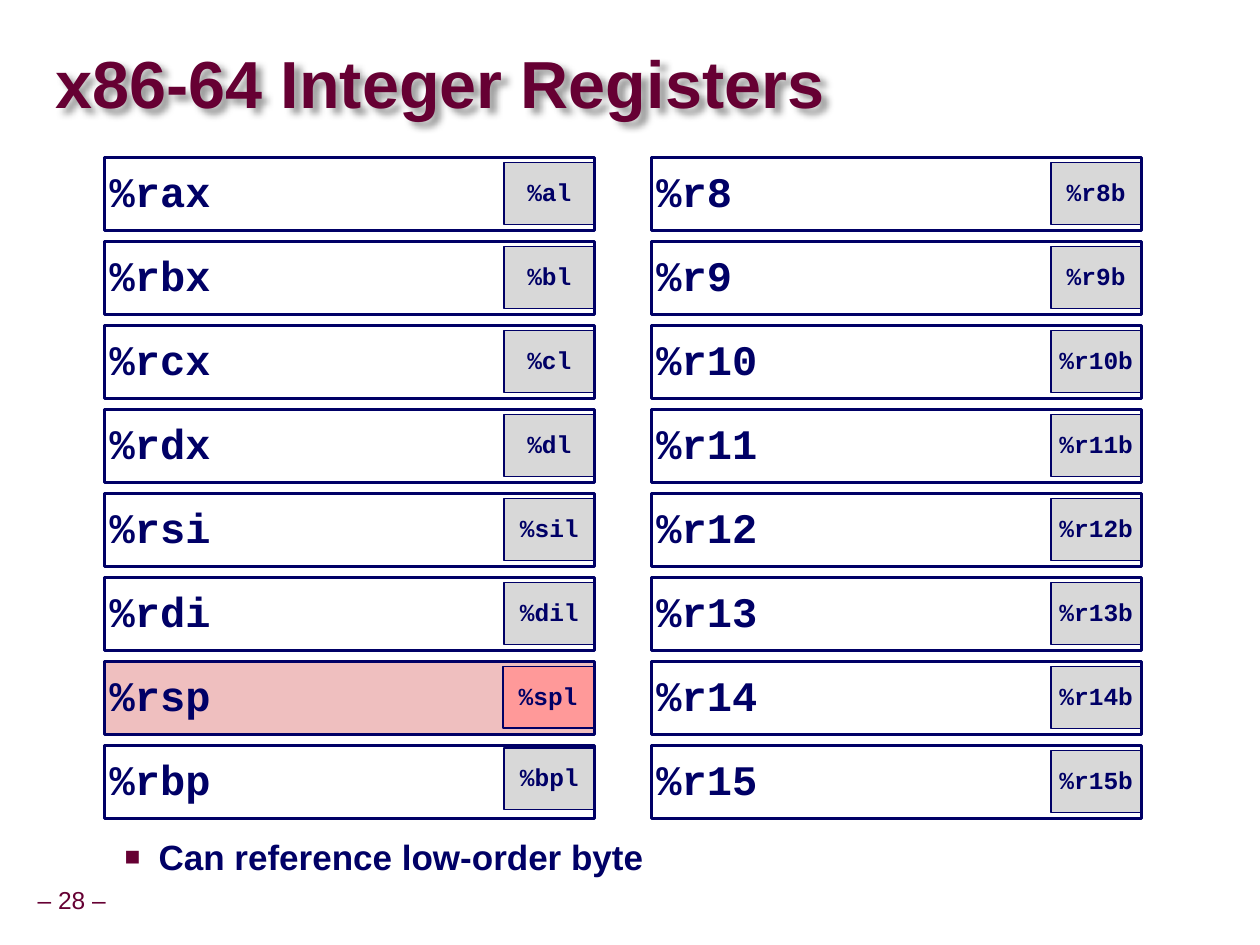
from dataclasses import dataclass

from lxml.etree import SubElement
from pptx import Presentation
from pptx.dml.color import RGBColor as RGB
from pptx.enum.shapes import MSO_SHAPE as Shape
from pptx.enum.text import MSO_ANCHOR as Anchor, PP_ALIGN as Align
from pptx.oxml.ns import qn
from pptx.util import Inches, Pt

TITLE = "x86-64 Integer Registers"
REGISTER_COLUMNS = [
    [("%rax", "%al"), ("%rbx", "%bl"), ("%rcx", "%cl"), ("%rdx", "%dl"),
     ("%rsi", "%sil"), ("%rdi", "%dil"), ("%rsp", "%spl"), ("%rbp", "%bpl")],
    [(f"%r{number}", f"%r{number}b") for number in range(8, 16)],
]
STACK_POINTER = "%rsp"
BYTE_SHIFTS = {"%spl": (-0.01, 0), "%bpl": (0, -0.02)}
TAKEAWAY = "Can reference low-order byte"
PAGE = "– 28 –"


@dataclass(frozen=True)
class Theme:
    navy: str = "000066"
    maroon: str = "660033"
    gray: str = "D8D8D8"
    rose: str = "EFBFBF"
    coral: str = "FF9999"
    sans: str = "Arial"
    mono: str = "Courier New"
    title_size: int = 38
    register_size: int = 24
    takeaway_size: int = 20
    small_size: int = 14


THEME = Theme()
COLUMN_LEFTS = (0.83, 5.17)
TOP, PITCH = 1.25, 2 / 3
FRAME_SIZE = (3.89, 0.58)
BYTE_SIZE = (0.72, 0.49)
BYTE_OFFSET = (3.17, 0.04)


def write(shape, text, size, color, font=THEME.sans, bold=True,
          align=Align.LEFT, anchor=Anchor.MIDDLE, insets=(0, 0), spacing=0.9, wrap=True):
    frame = shape.text_frame
    frame.word_wrap = wrap
    frame.vertical_anchor = anchor
    frame.margin_left = frame.margin_right = Inches(insets[0])
    frame.margin_top = frame.margin_bottom = Inches(insets[1])
    paragraph = frame.paragraphs[0]
    paragraph.alignment = align
    paragraph.line_spacing = spacing
    run = paragraph.add_run()
    run.text = text
    run.font.name, run.font.size, run.font.bold = font, Pt(size), bold
    run.font.color.rgb = RGB.from_string(color)
    return paragraph


def add_label(slide, box, *args, **style):
    label = slide.shapes.add_textbox(*map(Inches, box))
    return label, write(label, *args, **style)


def add_box(slide, box, text, size, fill, line_width, align):
    cell = slide.shapes.add_shape(Shape.RECTANGLE, *map(Inches, box))
    cell.shadow.inherit = False
    if fill:
        cell.fill.solid()
        cell.fill.fore_color.rgb = RGB.from_string(fill)
    else:
        cell.fill.background()
    cell.line.color.rgb = RGB.from_string(THEME.navy)
    cell.line.width = Pt(line_width)
    write(cell, text, size, THEME.navy, THEME.mono, align=align, insets=(0.04, 0.04))


def add_register(slide, left, top, register, low_byte):
    is_stack = register == STACK_POINTER
    shift_x, shift_y = BYTE_SHIFTS.get(low_byte, (0, 0))
    byte_box = (left + BYTE_OFFSET[0] + shift_x, top + BYTE_OFFSET[1] + shift_y, *BYTE_SIZE)
    byte_part = (byte_box, low_byte, THEME.small_size,
                 THEME.coral if is_stack else THEME.gray, 1 if is_stack else 0.75, Align.CENTER)
    register_part = ((left, top, *FRAME_SIZE), register, THEME.register_size,
                     THEME.rose if is_stack else None, 2, Align.LEFT)
    parts = (register_part, byte_part) if is_stack else (byte_part, register_part)
    for part in parts:
        add_box(slide, *part)


def add_shadow(label):
    effects = SubElement(label._element.spPr, qn("a:effectLst"))
    shadow = SubElement(effects, qn("a:outerShdw"), blurRad="50800", dist="50800",
                        dir="2700000", algn="tl", rotWithShape="0")
    color = SubElement(shadow, qn("a:srgbClr"), val="000000")
    SubElement(color, qn("a:alpha"), val="40000")


def add_bullet(paragraph):
    properties = paragraph._p.get_or_add_pPr()
    properties.set("marL", str(Inches(0.81)))
    properties.set("indent", str(Inches(-0.27)))
    color = SubElement(properties, qn("a:buClr"))
    SubElement(color, qn("a:srgbClr"), val=THEME.maroon)
    SubElement(properties, qn("a:buSzPct"), val="75000")
    SubElement(properties, qn("a:buFont"), typeface=THEME.sans)
    SubElement(properties, qn("a:buChar"), char="■")


def main():
    """Build the register overview slide."""
    deck = Presentation()
    deck.slide_width, deck.slide_height = Inches(10), Inches(7.5)
    slide = deck.slides.add_slide(deck.slide_layouts[6])

    add_label(slide, (0.24, 7, 0.66, 0.31), PAGE, THEME.small_size, THEME.maroon,
              bold=False, align=Align.CENTER, insets=(0.05, 0.05), wrap=False)
    title, _ = add_label(slide, (0.44, 0.27, 9.53, 0.85), TITLE,
                         THEME.title_size, THEME.maroon, spacing=0.87)
    add_shadow(title)
    _, takeaway = add_label(slide, (0.35, 6.58, 8.02, 0.92), TAKEAWAY,
                            THEME.takeaway_size, THEME.navy, anchor=Anchor.TOP,
                            insets=(0.1, 0.05), spacing=1.0)
    takeaway.space_before = Pt(5)
    add_bullet(takeaway)

    for left, registers in zip(COLUMN_LEFTS, REGISTER_COLUMNS):
        for row, (register, low_byte) in enumerate(registers):
            add_register(slide, left, TOP + row * PITCH, register, low_byte)

    deck.save("out.pptx")


if __name__ == "__main__":
    main()
